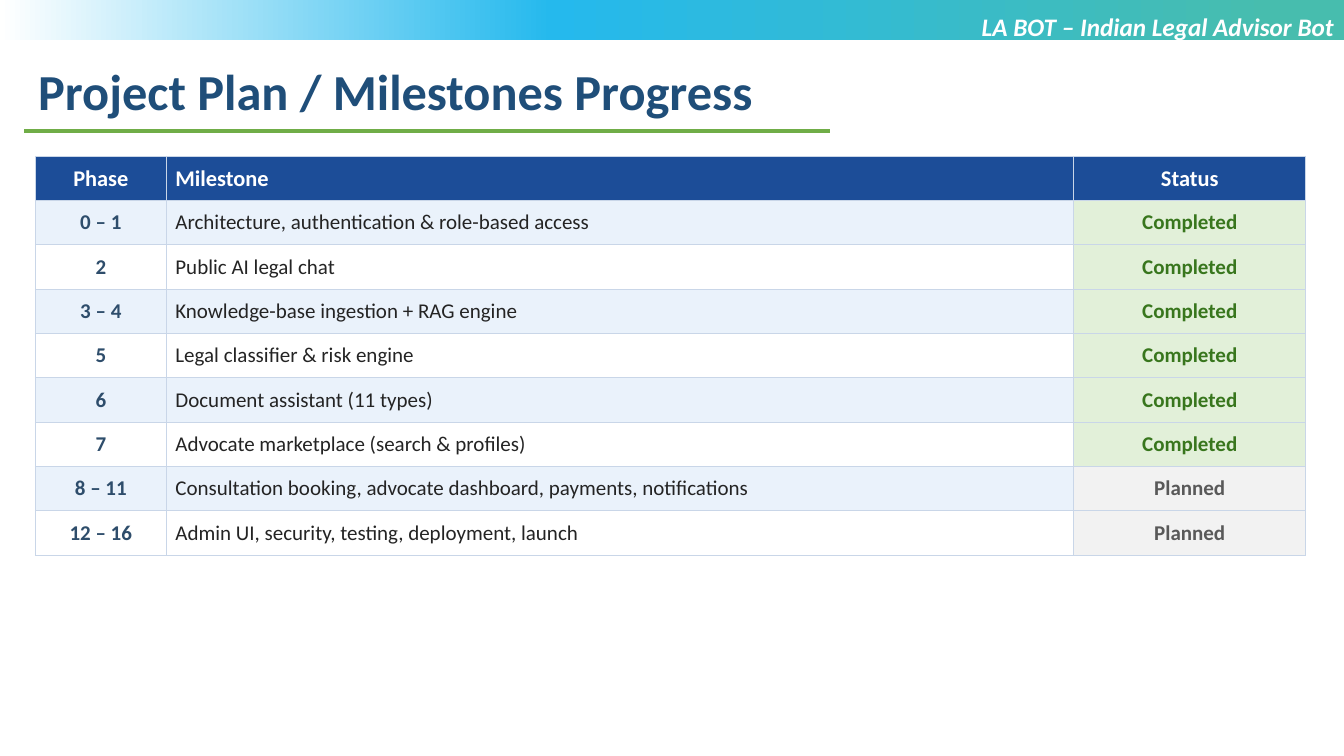
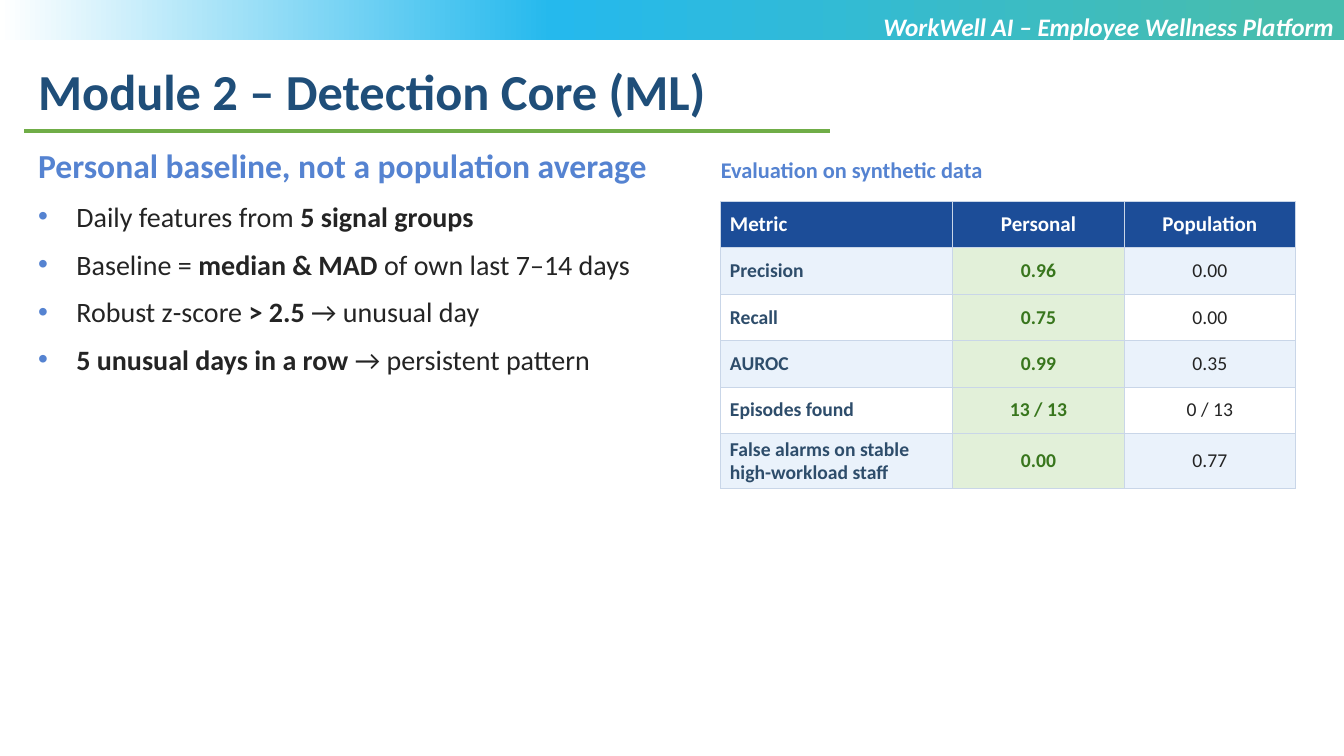
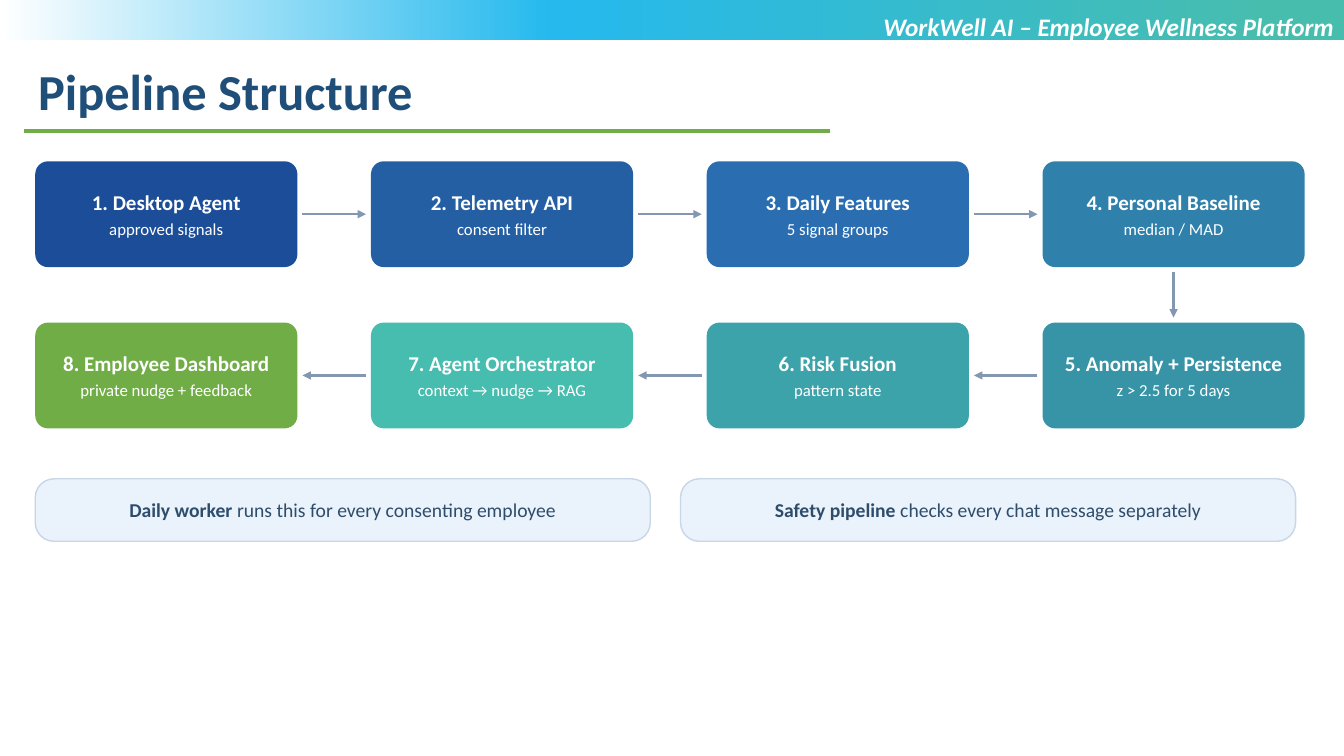
import collections

import pptx
import pptx.dml.color
import pptx.enum.dml
import pptx.enum.shapes
import pptx.enum.text
import pptx.oxml.ns
import pptx.oxml.xmlchemy
import pptx.util
from copy import deepcopy
from lxml import etree

Inches = pptx.util.Inches
Pt = pptx.util.Pt
RGBColor = pptx.dml.color.RGBColor
SHAPE = pptx.enum.shapes.MSO_SHAPE
ALIGN = pptx.enum.text.PP_ALIGN
ANCHOR = pptx.enum.text.MSO_ANCHOR
qn = pptx.oxml.ns.qn

FONT = "Calibri"
WHITE = RGBColor(0xFF, 0xFF, 0xFF)
TITLE_BLUE = RGBColor(0x1F, 0x4E, 0x79)
HEADER_BLUE = RGBColor(0x1C, 0x4D, 0x98)
ACCENT_BLUE = RGBColor(0x55, 0x83, 0xD1)
SLATE = RGBColor(0x2E, 0x4D, 0x6B)
INK = RGBColor(0x24, 0x24, 0x24)
GREEN = RGBColor(0x70, 0xAD, 0x47)
DARK_GREEN = RGBColor(0x38, 0x76, 0x1D)
PALE_GREEN = RGBColor(0xE2, 0xF0, 0xD9)
GREY = RGBColor(0x59, 0x59, 0x59)
PALE_GREY = RGBColor(0xF2, 0xF2, 0xF2)
PALE_BLUE = RGBColor(0xEA, 0xF2, 0xFB)
BORDER = RGBColor(0xC9, 0xD6, 0xE8)
ARROW = RGBColor(0x84, 0x97, 0xB0)
BAND_STOPS = [
    (0.05, RGBColor(0x47, 0xBD, 0xAE)),
    (0.59, RGBColor(0x25, 0xB9, 0xED)),
    (1.0, WHITE),
]
STEP_FILLS = [
    HEADER_BLUE,
    RGBColor(0x24, 0x5F, 0xA4),
    RGBColor(0x2A, 0x6D, 0xB0),
    RGBColor(0x2F, 0x80, 0xAB),
    RGBColor(0x37, 0x93, 0xA6),
    RGBColor(0x3C, 0xA3, 0xAA),
    RGBColor(0x47, 0xBD, 0xAF),
    GREEN,
]

CellStyle = collections.namedtuple("CellStyle", "color bold fill")
LABEL = CellStyle(SLATE, True, None)
BODY = CellStyle(INK, False, None)
GOOD = CellStyle(DARK_GREEN, True, PALE_GREEN)
PLANNED = CellStyle(GREY, True, PALE_GREY)

LEGAL_BOT = "LA BOT – Indian Legal Advisor Bot"
WELLNESS = "WorkWell AI – Employee Wellness Platform"

MILESTONES = [
    ("Phase", "Milestone", "Status"),
    ("0 – 1", "Architecture, authentication & role-based access", "Completed"),
    ("2", "Public AI legal chat", "Completed"),
    ("3 – 4", "Knowledge-base ingestion + RAG engine", "Completed"),
    ("5", "Legal classifier & risk engine", "Completed"),
    ("6", "Document assistant (11 types)", "Completed"),
    ("7", "Advocate marketplace (search & profiles)", "Completed"),
    ("8 – 11", "Consultation booking, advocate dashboard, payments, notifications", "Planned"),
    ("12 – 16", "Admin UI, security, testing, deployment, launch", "Planned"),
]
EVALUATION = [
    ("Metric", "Personal", "Population"),
    ("Precision", "0.96", "0.00"),
    ("Recall", "0.75", "0.00"),
    ("AUROC", "0.99", "0.35"),
    ("Episodes found", "13 / 13", "0 / 13"),
    ("False alarms on stable high-workload staff", "0.00", "0.77"),
]
BASELINE_POINTS = [
    "Daily features from **5 signal groups**",
    "Baseline = **median & MAD** of own last 7–14 days",
    "Robust z-score **> 2.5** → unusual day",
    "**5 unusual days in a row** → persistent pattern",
]
STEPS = [
    ("1. Desktop Agent", "approved signals"),
    ("2. Telemetry API", "consent filter"),
    ("3. Daily Features", "5 signal groups"),
    ("4. Personal Baseline", "median / MAD"),
    ("5. Anomaly + Persistence", "z > 2.5 for 5 days"),
    ("6. Risk Fusion", "pattern state"),
    ("7. Agent Orchestrator", "context → nudge → RAG"),
    ("8. Employee Dashboard", "private nudge + feedback"),
]
NOTES = [
    "**Daily worker** runs this for every consenting employee",
    "**Safety pipeline** checks every chat message separately",
]


def write(p, text, size, color, bold=False, italic=False, align=ALIGN.LEFT, before=0):
    """Fill a paragraph; parts between double asterisks are bold."""
    p.alignment = align
    if before:
        p.space_before = Pt(before)
    font = p.font
    font.name, font.size, font.bold, font.italic = FONT, Pt(size), bold, italic
    font.color.rgb = color
    for i, part in enumerate(text.split("**")):
        if part:
            r = p.add_run()
            r.text = part
            if i % 2:
                r.font.bold = True


def set_margins(tf, margin):
    """Give a text frame the same margin on every side."""
    tf.margin_left = tf.margin_right = tf.margin_top = tf.margin_bottom = Inches(margin)


def add_text_box(slide, x, y, w, h):
    """Add a wrapping text box and return its text frame."""
    tf = slide.shapes.add_textbox(Inches(x), Inches(y), Inches(w), Inches(h)).text_frame
    tf.word_wrap = True
    return tf


def add_line(slide, start, end, color, width, arrow=False):
    """Draw a straight line, with an arrowhead at its end if asked."""
    line = slide.shapes.add_connector(
        pptx.enum.shapes.MSO_CONNECTOR.STRAIGHT, *(Inches(v) for v in (*start, *end)))
    line.line.color.rgb = color
    line.line.width = Pt(width)
    if arrow:
        etree.SubElement(line.line._get_or_add_ln(), qn("a:tailEnd"), type="triangle")
    etree.SubElement(line._element.spPr, qn("a:effectLst"))


def add_band(slide, width, height):
    """Draw the gradient band along the top edge."""
    sp = slide.shapes.add_shape(SHAPE.RECTANGLE, 0, 0, width, Inches(height))
    sp.shadow.inherit = False
    sp.line.fill.background()
    sp.fill.gradient()
    sp.fill.gradient_angle = 180
    stop_list = sp._element.spPr.find(".//" + qn("a:gsLst"))
    stop_list.append(deepcopy(stop_list[-1]))
    for stop, (position, color) in zip(sp.fill.gradient_stops, BAND_STOPS):
        stop.position = position
        stop.color.rgb = color


def add_base_slide(prs, title, project):
    """Add a blank slide with the band, title, rule and project name."""
    slide = prs.slides.add_slide(prs.slide_layouts[6])
    add_band(slide, prs.slide_width, 0.4)
    tf = add_text_box(slide, 0.28, 0.55, 11.62, 0.71)
    write(tf.paragraphs[0], title, 36, TITLE_BLUE, bold=True)
    add_line(slide, (0.24, 1.3), (8.23, 1.3), GREEN, 2.25)
    tf = add_text_box(slide, 6.66, 0.06, 6.67, 0.71)
    write(tf.paragraphs[0], project, 18, WHITE, bold=True, italic=True, align=ALIGN.RIGHT)
    return slide


def style_cell(cell, fill):
    """Set the borders, fill, margins and anchor of a table cell."""
    tc_pr = cell._tc.get_or_add_tcPr()
    for side in ("a:lnL", "a:lnR", "a:lnT", "a:lnB"):
        ln = etree.SubElement(tc_pr, qn(side), w=str(Pt(0.75)))
        solid = etree.SubElement(ln, qn("a:solidFill"))
        etree.SubElement(solid, qn("a:srgbClr"), val=str(BORDER))
    cell.fill.solid()
    cell.fill.fore_color.rgb = fill
    cell.vertical_anchor = ANCHOR.MIDDLE
    cell.margin_left = cell.margin_right = Inches(0.09)
    cell.margin_top = cell.margin_bottom = Inches(0.04)


def add_data_table(slide, x, y, row_height, columns, rows, size):
    """Add a banded table; each column is a width, an alignment and a style."""
    width = sum(column[0] for column in columns)
    table = slide.shapes.add_table(
        len(rows), len(columns), Inches(x), Inches(y),
        Inches(width), Inches(row_height * len(rows))).table
    for c, (column_width, align, column_style) in enumerate(columns):
        table.columns[c].width = Inches(column_width)
        for r, row in enumerate(rows):
            band = PALE_BLUE if r % 2 else WHITE
            style = PLANNED if row[c] == "Planned" else column_style
            if r == 0:
                style = CellStyle(WHITE, True, HEADER_BLUE)
            cell = table.cell(r, c)
            style_cell(cell, style.fill or band)
            write(cell.text_frame.paragraphs[0], row[c], size if r else size + 1,
                  style.color, bold=style.bold, align=align)


def add_bullet(p, indent):
    """Give a paragraph a coloured bullet and a hanging indent."""
    p_pr = p._p.get_or_add_pPr()
    p_pr.set("marL", str(Inches(indent)))
    p_pr.set("indent", str(-Inches(indent)))
    color = etree.SubElement(p_pr, qn("a:buClr"))
    etree.SubElement(color, qn("a:srgbClr"), val=str(ACCENT_BLUE))
    etree.SubElement(p_pr, qn("a:buFont"), typeface="Arial")
    etree.SubElement(p_pr, qn("a:buChar"), char="•")


def add_bullet_list(slide, x, y, w, h, heading, points):
    """Add a heading with bulleted points below it."""
    tf = add_text_box(slide, x, y, w, h)
    write(tf.paragraphs[0], heading, 24, ACCENT_BLUE, bold=True)
    for point in points:
        p = tf.add_paragraph()
        add_bullet(p, 0.38)
        write(p, point, 20, INK, before=10)


def add_round_box(slide, x, y, w, h, fill, radius):
    """Add a filled rounded box without an outline and return it."""
    sp = slide.shapes.add_shape(
        SHAPE.ROUNDED_RECTANGLE, Inches(x), Inches(y), Inches(w), Inches(h))
    sp.adjustments[0] = radius
    sp.shadow.inherit = False
    sp.fill.solid()
    sp.fill.fore_color.rgb = fill
    sp.line.fill.background()
    tf = sp.text_frame
    tf.word_wrap = True
    tf.vertical_anchor = ANCHOR.MIDDLE
    set_margins(tf, 0.06)
    return sp


def add_pipeline(slide, x, y, steps, per_row=4):
    """Lay out steps to the right, then back to the left, joined by arrows."""
    w, h, pitch_x, pitch_y, gap = 2.6, 1.05, 3.33, 1.6, 0.05
    centres = []
    for i, ((name, detail), fill) in enumerate(zip(steps, STEP_FILLS)):
        row, col = divmod(i, per_row)
        if row % 2:
            col = per_row - 1 - col
        left, top = x + col * pitch_x, y + row * pitch_y
        centres.append((left + w / 2, top + h / 2))
        tf = add_round_box(slide, left, top, w, h, fill, 0.12).text_frame
        write(tf.paragraphs[0], name, 15, WHITE, bold=True, align=ALIGN.CENTER)
        write(tf.add_paragraph(), detail, 12, WHITE, align=ALIGN.CENTER, before=3)
    for (x1, y1), (x2, y2) in zip(centres, centres[1:]):
        dx = ((x2 > x1) - (x2 < x1)) * (w / 2 + gap)
        dy = ((y2 > y1) - (y2 < y1)) * (h / 2 + gap)
        add_line(slide, (x1 + dx, y1 + dy), (x2 - dx, y2 - dy), ARROW, 1.75, arrow=True)


def add_notes_row(slide, x, y, notes):
    """Place outlined note boxes side by side."""
    w, h, gap = 6.1, 0.62, 0.3
    for i, note in enumerate(notes):
        sp = add_round_box(slide, x + i * (w + gap), y, w, h, PALE_BLUE, 0.3)
        sp.line.color.rgb = BORDER
        sp.line.width = Pt(1)
        write(sp.text_frame.paragraphs[0], note, 14, SLATE, align=ALIGN.CENTER)


def build_milestones(prs):
    """Build the milestone progress slide."""
    slide = add_base_slide(prs, "Project Plan / Milestones Progress", LEGAL_BOT)
    columns = [(1.3, ALIGN.CENTER, LABEL), (9, ALIGN.LEFT, BODY), (2.3, ALIGN.CENTER, GOOD)]
    add_data_table(slide, 0.35, 1.55, 0.44, columns, MILESTONES, 15)


def build_detection(prs):
    """Build the detection module slide."""
    slide = add_base_slide(prs, "Module 2 – Detection Core (ML)", WELLNESS)
    add_bullet_list(slide, 0.28, 1.39, 6.5, 4.3,
                    "Personal baseline, not a population average", BASELINE_POINTS)
    tf = add_text_box(slide, 7.15, 1.55, 5.7, 0.4)
    set_margins(tf, 0)
    write(tf.paragraphs[0], "Evaluation on synthetic data", 16, ACCENT_BLUE, bold=True)
    columns = [(2.3, ALIGN.LEFT, LABEL), (1.7, ALIGN.CENTER, GOOD), (1.7, ALIGN.CENTER, BODY)]
    add_data_table(slide, 7.15, 2, 0.46, columns, EVALUATION, 14)


def build_pipeline(prs):
    """Build the pipeline structure slide."""
    slide = add_base_slide(prs, "Pipeline Structure", WELLNESS)
    add_pipeline(slide, 0.35, 1.6, STEPS)
    add_notes_row(slide, 0.35, 4.75, NOTES)


def main():
    """Build and save the presentation."""
    prs = pptx.Presentation()
    prs.slide_width, prs.slide_height = Inches(13.33), Inches(7.5)
    build_milestones(prs)
    build_detection(prs)
    build_pipeline(prs)
    prs.save("out.pptx")


if __name__ == "__main__":
    main()
